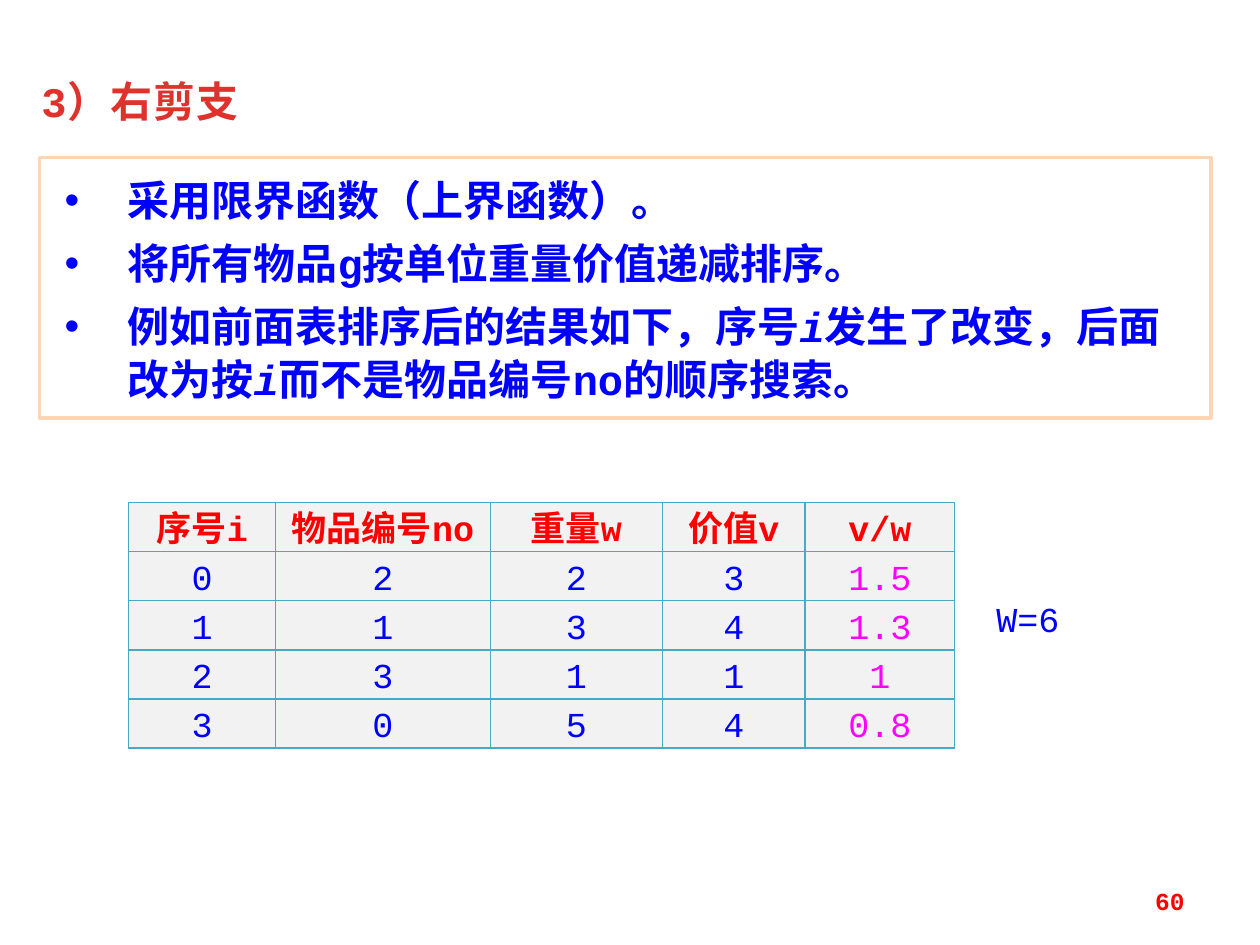
"""Builds the slide on right pruning with its sorted item table."""
from lxml import etree
from pptx import Presentation
from pptx.dml.color import RGBColor
from pptx.enum import shapes, text
from pptx.oxml import parse_xml
from pptx.oxml.ns import nsdecls, qn
from pptx.util import Pt

TITLE = "3）右剪支"
BULLETS = [
    [("采用限界函数（上界函数）。", False)],
    [("将所有物品g按单位重量价值递减排序。", False)],
    [("例如前面表排序后的结果如下，序号", False), ("i", True),
     ("发生了改变，后面改为按", False), ("i", True),
     ("而不是物品编号no的顺序搜索。", False)],
]
ITEMS = [
    ("序号i", "物品编号no", "重量w", "价值v", "v/w"),
    ("0", "2", "2", "3", "1.5"),
    ("1", "1", "3", "4", "1.3"),
    ("2", "3", "1", "1", "1"),
    ("3", "0", "5", "4", "0.8"),
]
COLUMN_WIDTHS = (84.3, 122.4, 98.6, 81.4, 85.6)
ROW_HEIGHT = 28
CAPACITY = "W=6"
PAGE = "60"


class Theme:
    """Font, sizes and colours of the slide."""
    font = "Courier New"
    heading, table, page = 24, 20, 14
    title, blue, red, ratio = "E0322D", "0000FF", "FF0000", "FF00FF"
    paper, frame, cell, border = "FFFFFF", "FCD5B5", "F2F2F2", "46AAC5"


def style(r, size, color, bold=False, italic=False):
    """Formats one run."""
    r.font.name = Theme.font
    r.font.size = Pt(size)
    r.font.bold = bold
    r.font.italic = italic
    r.font.color.rgb = RGBColor.from_string(color)


def add_label(s, box, words, size, color, bold=False, wrap=True):
    """Adds a one-line text box and returns its paragraph."""
    tf = s.shapes.add_textbox(*map(Pt, box)).text_frame
    tf.word_wrap = wrap
    p = tf.paragraphs[0]
    p.text = words
    style(p.runs[0], size, color, bold)
    return p


def add_bullets(s, box):
    """Adds the framed bullet list."""
    sp = s.shapes.add_shape(shapes.MSO_SHAPE.RECTANGLE, *map(Pt, box))
    sp.shadow.inherit = False
    sp.fill.solid()
    sp.fill.fore_color.rgb = RGBColor.from_string(Theme.paper)
    sp.line.color.rgb = RGBColor.from_string(Theme.frame)
    sp.line.width = Pt(2)
    tf = sp.text_frame
    tf.word_wrap = True
    tf.vertical_anchor = text.MSO_ANCHOR.TOP
    tf.margin_left, tf.margin_right = Pt(14.4), Pt(7.2)
    tf.margin_top = tf.margin_bottom = Pt(8.6)
    for i, parts in enumerate(BULLETS):
        p = tf.add_paragraph() if i else tf.paragraphs[0]
        p.alignment = text.PP_ALIGN.LEFT
        p.line_spacing = Pt(30)
        p.space_before = Pt(6 if i else 0)
        pPr = p._p.get_or_add_pPr()
        pPr.set("marL", str(Pt(36)))
        pPr.set("indent", str(Pt(-36)))
        etree.SubElement(pPr, qn("a:buFont")).set("typeface", "Arial")
        etree.SubElement(pPr, qn("a:buChar")).set("char", "•")
        for words, italic in parts:
            r = p.add_run()
            r.text = words
            style(r, Theme.heading, Theme.blue, True, italic)


def add_borders(cell):
    """Draws a thin line on each side of a cell."""
    tcPr = cell._tc.get_or_add_tcPr()
    for i, side in enumerate("LRTB"):
        tcPr.insert(i, parse_xml(
            f'<a:ln{side} {nsdecls("a")} w="{Pt(0.75)}"><a:solidFill>'
            f'<a:srgbClr val="{Theme.border}"/></a:solidFill></a:ln{side}>'))


def add_items(s, left, top):
    """Adds the table of sorted items."""
    rows, cols = len(ITEMS), len(COLUMN_WIDTHS)
    table = s.shapes.add_table(rows, cols, Pt(left), Pt(top),
                               Pt(sum(COLUMN_WIDTHS)), Pt(rows * ROW_HEIGHT)).table
    table.horz_banding = False
    for column, width in zip(table.columns, COLUMN_WIDTHS):
        column.width = Pt(width)
    for i, values in enumerate(ITEMS):
        table.rows[i].height = Pt(ROW_HEIGHT)
        for j, value in enumerate(values):
            cell = table.cell(i, j)
            cell.margin_left = cell.margin_right = Pt(5)
            cell.margin_top = cell.margin_bottom = 0
            cell.fill.solid()
            cell.fill.fore_color.rgb = RGBColor.from_string(Theme.cell)
            add_borders(cell)
            p = cell.text_frame.paragraphs[0]
            p.text = value
            p.alignment = text.PP_ALIGN.CENTER
            p.line_spacing = Pt(ROW_HEIGHT)
            body = Theme.ratio if j == cols - 1 else Theme.blue
            style(p.runs[0], Theme.table, body if i else Theme.red, i == 0)


def main():
    """Builds and saves the slide."""
    prs = Presentation()
    prs.slide_width, prs.slide_height = Pt(720), Pt(540)
    s = prs.slides.add_slide(prs.slide_layouts[6])
    title = add_label(s, (16.6, 39.6, 157.7, 36), TITLE, Theme.heading, Theme.title, True)
    title.runs[0]._r.get_or_add_rPr().set("spc", "50")
    add_bullets(s, (22.5, 90, 669.6, 149))
    add_items(s, 73.4, 287.3)
    add_label(s, (562.3, 337.7, 50.4, 31.7), CAPACITY, Theme.table, Theme.blue, wrap=False)
    page = add_label(s, (516.2, 500.4, 167.8, 28.8), PAGE, Theme.page, Theme.red, True)
    page.alignment = text.PP_ALIGN.RIGHT
    page._parent.vertical_anchor = text.MSO_ANCHOR.MIDDLE
    prs.save("out.pptx")


if __name__ == "__main__":
    main()
